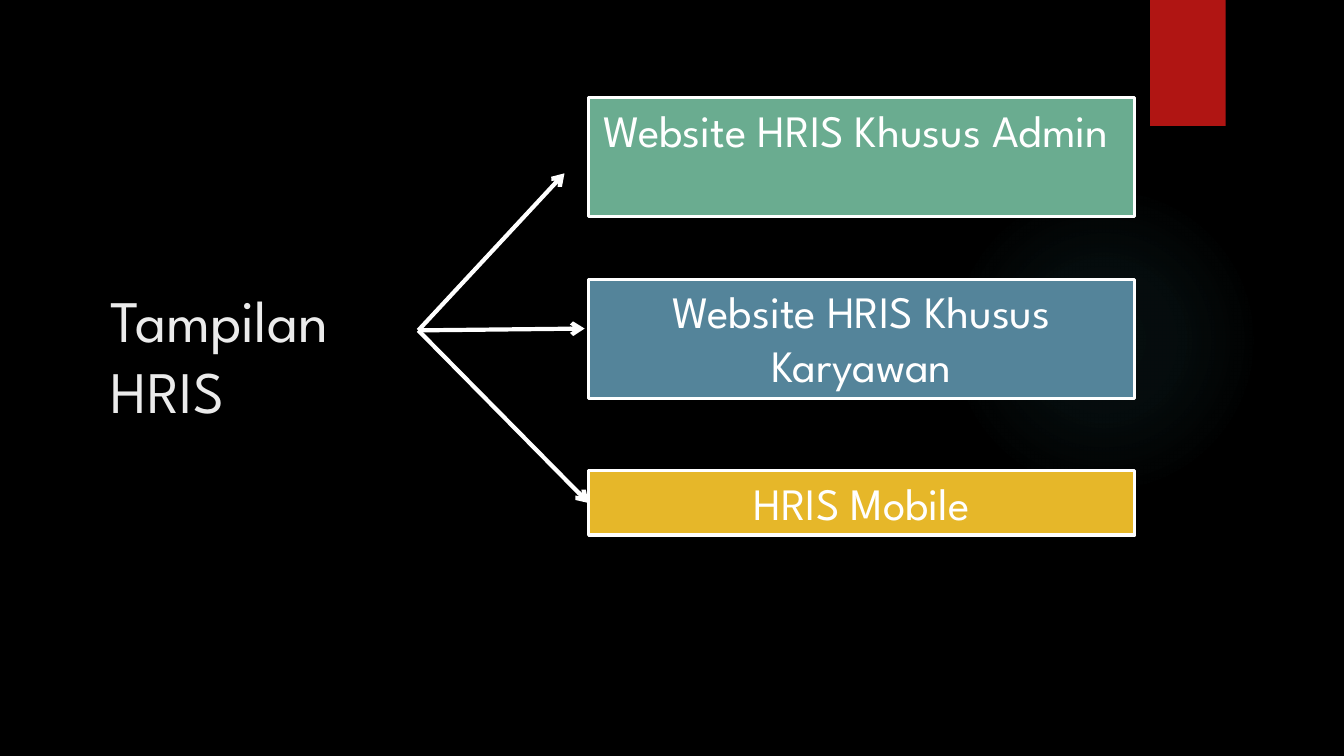
"""Build a slide that branches from the HRIS title to its three interfaces."""
import pptx
import pptx.dml.color
import pptx.enum.shapes
import pptx.enum.text
import pptx.oxml
import pptx.oxml.ns
import pptx.util

Pt = pptx.util.Pt
RGBColor = pptx.dml.color.RGBColor
MSO_SHAPE = pptx.enum.shapes.MSO_SHAPE
PP_ALIGN = pptx.enum.text.PP_ALIGN
qn = pptx.oxml.ns.qn

BLACK = RGBColor(0x00, 0x00, 0x00)
WHITE = RGBColor(0xFF, 0xFF, 0xFF)
OFF_WHITE = RGBColor(0xEB, 0xEB, 0xEB)
RED = RGBColor(0xB0, 0x15, 0x13)
GREEN = RGBColor(0x6A, 0xAC, 0x90)
BLUE = RGBColor(0x54, 0x84, 0x9A)
YELLOW = RGBColor(0xE6, 0xB7, 0x29)
TEAL = RGBColor(0x50, 0xB9, 0xC1)


def write(tf, text, size=32, color=WHITE, font="League Spartan", align=PP_ALIGN.CENTER):
    tf.word_wrap = True
    tf.auto_size = pptx.enum.text.MSO_AUTO_SIZE.NONE
    tf.vertical_anchor = pptx.enum.text.MSO_ANCHOR.TOP
    p = tf.paragraphs[0]
    p.alignment = align
    p.line_spacing = 1.0
    p.space_before = Pt(0)
    r = p.add_run()
    r.text = text
    r.font.size = Pt(size)
    r.font.name = font
    r.font.color.rgb = color


class Deck:
    def __init__(self, width, height, background):
        self.prs = pptx.Presentation()
        self.prs.slide_width, self.prs.slide_height = Pt(width), Pt(height)
        self.s = self.prs.slides.add_slide(self.prs.slide_layouts[5])
        self.s.background.fill.solid()
        self.s.background.fill.fore_color.rgb = background

    def title(self, text, x, y, w, h):
        sp = self.s.shapes.title
        sp.left, sp.top, sp.width, sp.height = Pt(x), Pt(y), Pt(w), Pt(h)
        write(sp.text_frame, text, size=42, color=OFF_WHITE, align=PP_ALIGN.LEFT)

    def shape(self, kind, x, y, w, h, fill=None, line=None):
        sp = self.s.shapes.add_shape(kind, Pt(x), Pt(y), Pt(w), Pt(h))
        sp.shadow.inherit = False
        if fill is None:
            sp.fill.background()
        else:
            sp.fill.solid()
            sp.fill.fore_color.rgb = fill
        if line is None:
            sp.line.fill.background()
        else:
            sp.line.color.rgb = line
            sp.line.width = Pt(2.25)
        return sp

    def box(self, text, x, y, w, h, fill):
        sp = self.shape(MSO_SHAPE.RECTANGLE, x, y, w, h, fill, WHITE)
        write(sp.text_frame, text)

    def glow(self, x, y, size, color, stops):
        sp = self.shape(MSO_SHAPE.OVAL, x, y, size, size)
        marks = "".join(
            f'<a:gs pos="{pos * 1000}"><a:srgbClr val="{color}">'
            f'<a:alpha val="{alpha * 1000}"/></a:srgbClr></a:gs>'
            for pos, alpha in stops)
        grad = pptx.oxml.parse_xml(
            f'<a:gradFill {pptx.oxml.ns.nsdecls("a")}><a:gsLst>{marks}</a:gsLst>'
            '<a:path path="circle"><a:fillToRect l="50000" t="50000" r="50000" b="50000"/>'
            '</a:path></a:gradFill>')
        sppr = sp._element.spPr
        sppr.replace(sppr.find(qn("a:noFill")), grad)

    def arrow(self, start, end):
        cx = self.s.shapes.add_connector(
            pptx.enum.shapes.MSO_CONNECTOR.STRAIGHT, *map(Pt, start + end))
        cx.line.color.rgb = WHITE
        cx.line.width = Pt(3)
        ln = cx.line._get_or_add_ln()
        ln.append(ln.makeelement(qn("a:tailEnd"), {"type": "arrow"}))
        sppr = cx._element.spPr
        sppr.append(sppr.makeelement(qn("a:effectLst"), {}))


def main():
    deck = Deck(960, 540, BLACK)
    deck.glow(677.5, 131.8, 221.8, TEAL, [(0, 7), (36, 6), (69, 0)])
    deck.shape(MSO_SHAPE.RECTANGLE, 821.5, 0, 54, 90, RED)
    deck.title("Tampilan HRIS", 72, 199.4, 253.4, 70.6)
    origin = (298.8, 236)
    branches = [
        ("Website HRIS Khusus Admin ", 69.8, 85, GREEN, (403.2, 123.8)),
        ("Website HRIS Khusus Karyawan", 199.4, 85, BLUE, (417.6, 234.7)),
        ("HRIS Mobile", 336.2, 46, YELLOW, (420.5, 359.3)),
    ]
    for text, top, height, color, tip in branches:
        deck.box(text, 420.5, top, 390.2, height, color)
        deck.arrow(origin, tip)
    deck.prs.save("out.pptx")


if __name__ == "__main__":
    main()
